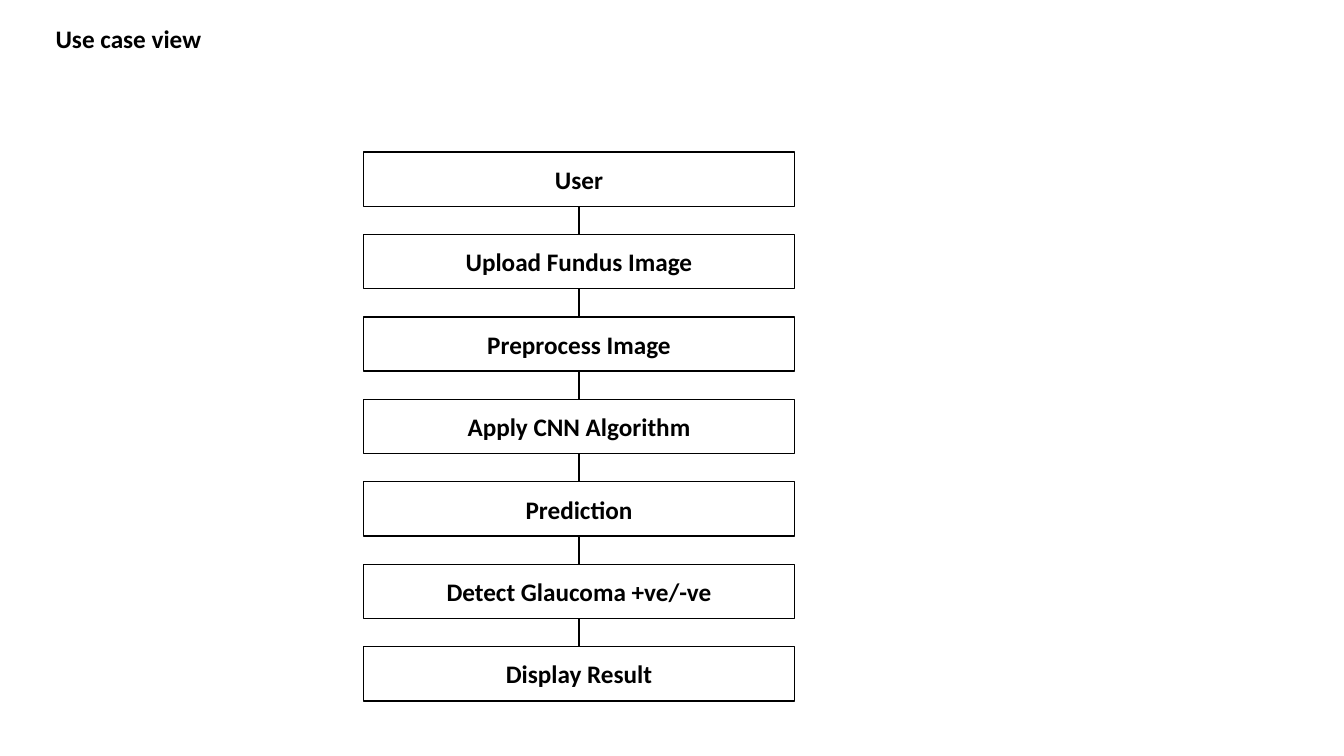
from itertools import pairwise

from lxml.etree import SubElement
from pptx import Presentation
from pptx.dml.color import RGBColor as Rgb
from pptx.enum.shapes import MSO_CONNECTOR as Link, MSO_SHAPE as Form
from pptx.enum.text import MSO_ANCHOR as Anchor, MSO_AUTO_SIZE as Fit, PP_ALIGN as Align
from pptx.oxml.ns import qn
from pptx.util import Pt


def color(code):
    """Turn a hex string into a colour."""
    return Rgb.from_string(code)


class Chart:
    """Draw the parts of a flow chart on one slide in one style."""

    face, size, ink, paper = "Calibri", 18, "000000", "FFFFFF"

    def __init__(self, slide):
        """Keep the slide to draw on."""
        self.slide = slide
        self.shapes = slide.shapes

    def label(self, frame, text, align):
        """Fill a text frame with one bold line."""
        frame.word_wrap = True
        line = frame.paragraphs[0]
        line.text = text
        line.alignment = align
        font = line.font
        font.name, font.size, font.bold = self.face, Pt(self.size), True
        font.color.rgb = color(self.ink)

    def title(self, text, left, top, width, height):
        """Add the heading."""
        box = self.shapes.add_textbox(Pt(left), Pt(top), Pt(width), Pt(height))
        self.label(box.text_frame, text, Align.LEFT)
        box.text_frame.auto_size = Fit.SHAPE_TO_FIT_TEXT

    def step(self, text, left, top, width, height):
        """Add one outlined step and return it."""
        box = self.shapes.add_shape(Form.RECTANGLE, Pt(left), Pt(top), Pt(width), Pt(height))
        box.shadow.inherit = False
        box.fill.solid()
        box.fill.fore_color.rgb = color(self.paper)
        box.line.color.rgb = color(self.ink)
        box.line.width = Pt(1)
        box.text_frame.vertical_anchor = Anchor.MIDDLE
        self.label(box.text_frame, text, Align.CENTER)
        return box

    def join(self, upper, lower):
        """Link the bottom of one step to the top of the next."""
        link = self.shapes.add_connector(Link.STRAIGHT, 0, 0, 0, 0)
        link.begin_connect(upper, 2)
        link.end_connect(lower, 0)
        link.line.color.rgb = color(self.ink)
        link.line.width = Pt(1.5)
        SubElement(link._element.spPr, qn("a:effectLst"))


def main():
    """Build and save the slide."""
    deck = Presentation()
    deck.slide_width, deck.slide_height = Pt(960), Pt(540)
    chart = Chart(deck.slides.add_slide(deck.slide_layouts[6]))
    chart.title("Use case view", 32.6, 13.2, 159, 29)
    names = [
        "User",
        "Upload Fundus Image",
        "Preprocess Image",
        "Apply CNN Algorithm",
        "Prediction",
        "Detect Glaucoma +ve/-ve",
        "Display Result",
    ]
    top, pitch = 108.5, 58.9
    steps = [chart.step(name, 259.8, top + i * pitch, 307.6, 38.8) for i, name in enumerate(names)]
    for upper, lower in pairwise(steps):
        chart.join(upper, lower)
    deck.save("out.pptx")


if __name__ == "__main__":
    main()
